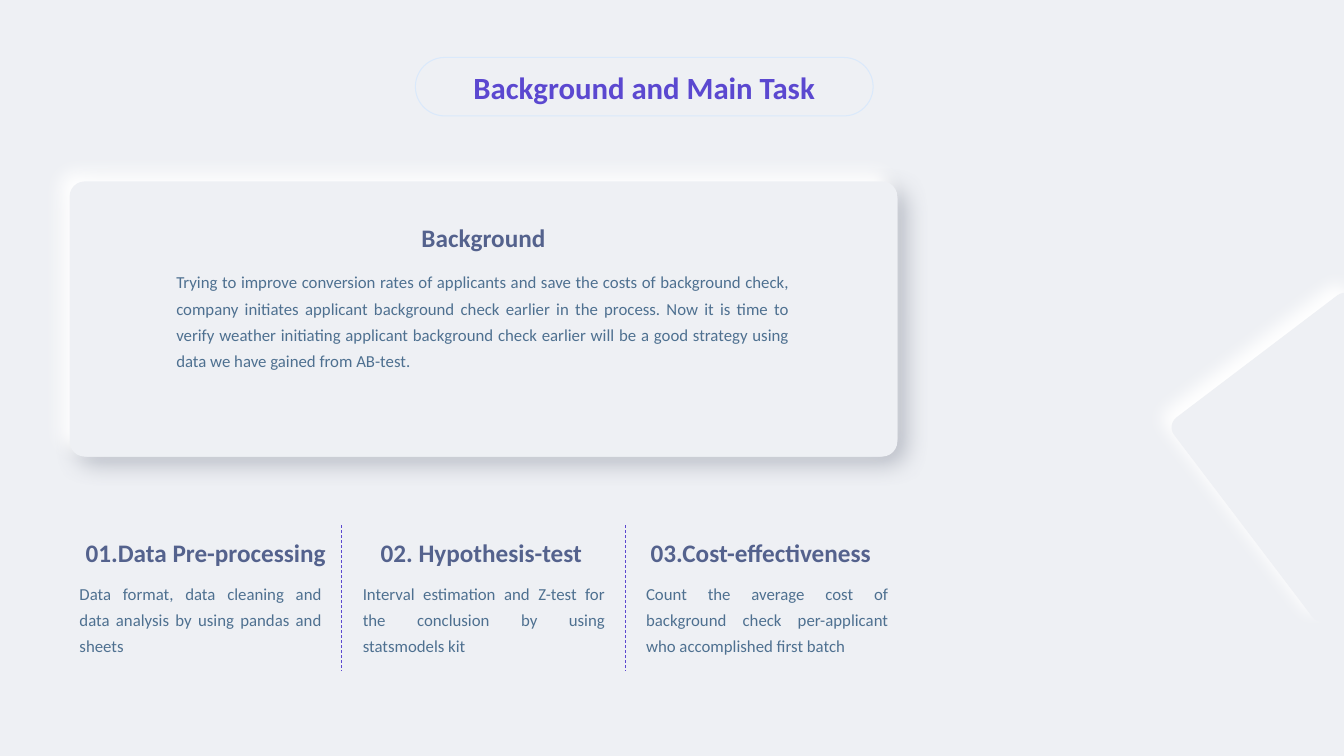
import pptx
import pptx.util
import pptx.dml.color
import pptx.enum.dml
import pptx.enum.shapes
import pptx.enum.text
import pptx.oxml
import pptx.oxml.ns
from pptx.util import Inches

# Content
TITLE = "Background and Main Task"
HEAD = "Background"
BODY = (
    "Trying to improve conversion rates of applicants and save the costs of "
    "background check, company initiates applicant background check earlier in "
    "the process. Now it is time to verify weather initiating applicant "
    "background check earlier will be a good strategy using data we have gained "
    "from AB-test."
)
# Heading, left and width of heading, body
TASKS = [
    ("01.Data Pre-processing", 0.69, 2.7,
     "Data format, data cleaning and data analysis by using pandas and sheets"),
    ("02. Hypothesis-test", 3.61, 2.33,
     "Interval estimation and Z-test for the conclusion by using statsmodels kit"),
    ("03.Cost-effectiveness", 6.32, 2.45,
     "Count the average cost of background check per-applicant who "
     "accomplished first batch"),
]
COLORS = {"base": "EEF0F4", "title": "5B48D0", "head": "54628D", "body": "4E7090",
          "edge": "DAE9FB", "dark": "656C7E", "light": "FFFFFF"}
FONT = "Calibri"
CARD = (0.69, 1.8, 8.21, 2.73)
LEFT, STEP = 0.69, 2.81
# Colour, opacity, blur, distance, angle
DARK = ("dark", 40, 17, 8, 45)
LIGHT = ("light", 100, 12, 9, 225)

ALIGN = pptx.enum.text.PP_ALIGN
NS = pptx.oxml.ns.nsdecls("a")

deck = pptx.Presentation()
deck.slide_width, deck.slide_height = Inches(13.33), Inches(7.5)
slide = deck.slides.add_slide(deck.slide_layouts[6])


def tint(name):
    return pptx.dml.color.RGBColor.from_string(COLORS[name])


def add_text(text, box, size=12, color="body", bold=False,
             align=ALIGN.JUSTIFY, space=1.3):
    frame = slide.shapes.add_textbox(*map(Inches, box)).text_frame
    frame.word_wrap = True
    para = frame.paragraphs[0]
    para.alignment, para.line_spacing = align, space
    run = para.add_run()
    run.text = text
    font = run.font
    font.name, font.size, font.bold = FONT, pptx.util.Pt(size), bold
    font.color.rgb = tint(color)


def add_head(text, box, size=18, color="head"):
    add_text(text, box, size=size, color=color, bold=True,
             align=ALIGN.CENTER, space=1.0)


def add_panel(box, round, glow=None, turn=0):
    panel = slide.shapes.add_shape(
        pptx.enum.shapes.MSO_SHAPE.ROUNDED_RECTANGLE, *map(Inches, box))
    panel.adjustments[0] = round
    panel.rotation = turn
    panel.fill.solid()
    panel.fill.fore_color.rgb = tint("base")
    panel.line.fill.background()
    panel.shadow.inherit = False
    if glow:
        color, alpha, blur, dist, angle = glow
        effect = panel.element.spPr.find(pptx.oxml.ns.qn("a:effectLst"))
        effect.append(pptx.oxml.parse_xml(
            f'<a:outerShdw {NS} blurRad="{pptx.util.Pt(blur)}" '
            f'dist="{pptx.util.Pt(dist)}" dir="{angle * 60000}" '
            f'algn="ctr" rotWithShape="0"><a:srgbClr val="{COLORS[color]}">'
            f'<a:alpha val="{alpha * 1000}"/></a:srgbClr></a:outerShdw>'))
    return panel


def add_rule(x, top, end):
    rule = slide.shapes.add_connector(
        pptx.enum.shapes.MSO_CONNECTOR.STRAIGHT, *map(Inches, (x, top, x, end)))
    rule.line.color.rgb = tint("title")
    rule.line.width = pptx.util.Pt(0.5)
    rule.line.dash_style = pptx.enum.dml.MSO_LINE.DASH
    rule.element.spPr.append(pptx.oxml.parse_xml(f"<a:effectLst {NS}/>"))


# Background
back = slide.background.fill
back.solid()
back.fore_color.rgb = tint("base")

# Title pill
pill = add_panel((4.12, 0.57, 4.54, 0.58), 0.5)
pill.line.color.rgb = tint("edge")
pill.line.width = pptx.util.Pt(0)
add_head(TITLE, (4.36, 0.63, 4.06, 0.84), size=22, color="title")

# Raised card
add_panel(CARD, 0.064, DARK)
add_panel(CARD, 0.055, LIGHT)
add_head(HEAD, (2.55, 2.16, 4.49, 0.4))
add_text(BODY, (1.65, 2.59, 6.28, 1.13))

# Task columns with dividers between them
for i, (head, left, width, body) in enumerate(TASKS):
    x = LEFT + i * STEP
    add_head(head, (left, 5.28, width, 0.4))
    add_text(body, (x, 5.68, 2.6, 0.87))
    if i:
        add_rule(x - 0.11, 5.21, 6.65)

# Tilted panel at the right edge
add_panel((11.97, 3.41, 2.51, 2.25), 0.055, LIGHT, turn=52.8)

deck.save("out.pptx")
